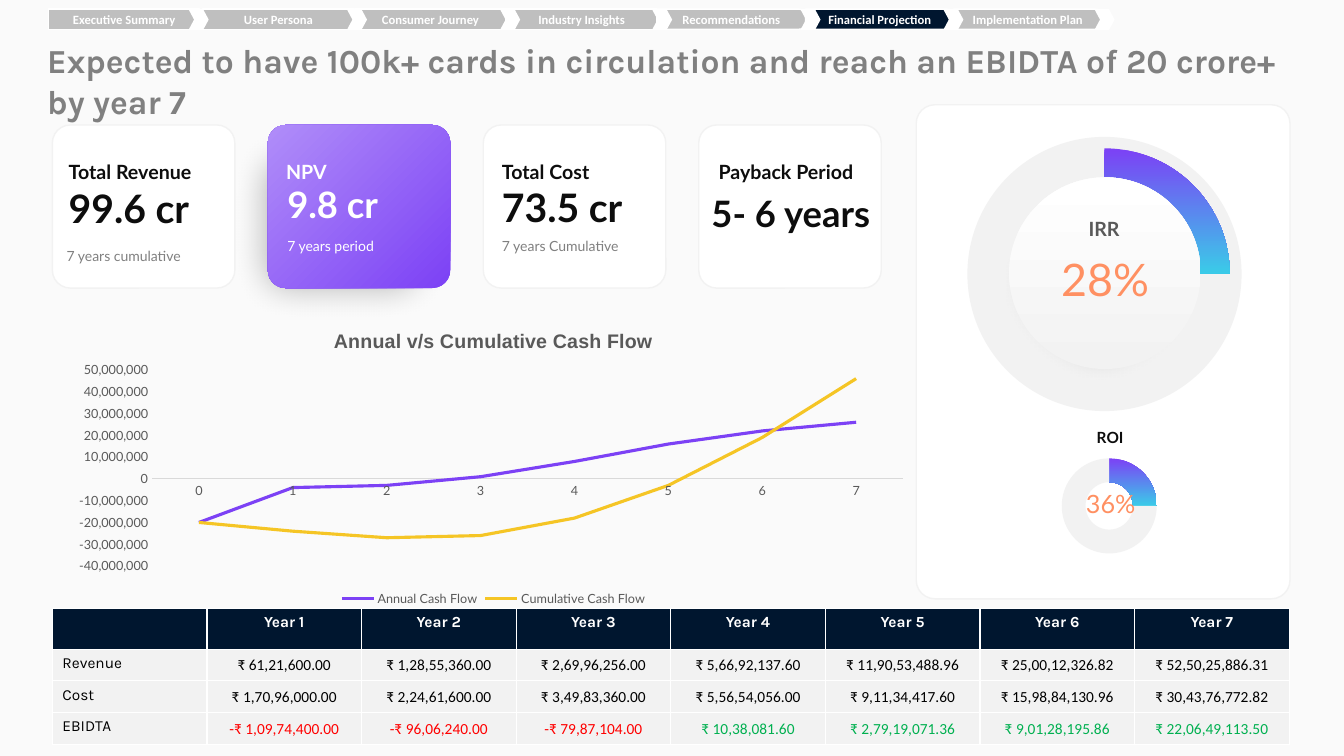
from lxml.etree import SubElement
from pptx import Presentation
from pptx.chart.data import CategoryChartData
from pptx.dml.color import RGBColor
from pptx.enum.chart import XL_CHART_TYPE, XL_LEGEND_POSITION, XL_TICK_MARK
from pptx.enum.shapes import MSO_SHAPE
from pptx.enum.text import MSO_ANCHOR, PP_ALIGN
from pptx.oxml import parse_xml
from pptx.oxml.ns import nsdecls, qn
from pptx.util import Cm, Pt

NAVY, WHITE, PALE, BLACK, CORAL = "00162F", "FFFFFF", "F2F2F2", "0D0D0D", "FF9062"
PURPLE, CYAN, GREY, DARK_GREY = "7C41F5", "3ACBE8", "808080", "595959"
LEFT, CENTER = PP_ALIGN.LEFT, PP_ALIGN.CENTER
TITLE = "Expected to have 100k+ cards in circulation and reach an EBIDTA of 20 crore+ by year 7"
TABS = [("Executive Summary", 2.87, 0), ("User Persona", 6.76, 0), ("Consumer Journey", 10.59, 0),
        ("Industry Insights", 14.4, 0), ("Recommendations", 18.21, 0.5),
        ("Implementation Plan", 25.68, 0.5), ("Financial Projection", 21.95, 0.5)]
CHEVRONS = [4.75, 8.74, 12.6, 16.43, 20.17, 23.77, 27.58]
LABELS = [
    ("Total Revenue", 1.73, 4.09, 3.68, 0.53, 14, BLACK, True, LEFT),
    ("99.6 cr", 1.73, 5.05, 3.68, 0.53, 28, BLACK, True, LEFT),
    ("7 years cumulative", 1.68, 6.27, 3.68, 0.4, 10, GREY, False, LEFT),
    ("NPV", 7.21, 4.09, 3.68, 0.53, 14, WHITE, True, LEFT),
    ("9.8 cr", 7.24, 4.95, 3.68, 0.53, 26, WHITE, True, LEFT),
    ("7 years period", 7.24, 6.02, 3.68, 0.4, 10, WHITE, False, LEFT),
    ("Total Cost", 12.65, 4.09, 3.68, 0.53, 14, BLACK, True, LEFT),
    ("73.5 cr", 12.65, 5.03, 3.68, 0.53, 28, BLACK, True, LEFT),
    ("7 years Cumulative", 12.65, 6.02, 3.68, 0.4, 10, GREY, False, LEFT),
    ("Payback Period", 18.11, 4.11, 4.42, 0.53, 14, BLACK, True, LEFT),
    ("5- 6 years", 17.93, 5.16, 4.42, 0.53, 26, BLACK, True, LEFT),
    ("28%", 26.01, 6.5, 3.68, 1.19, 32, CORAL, False, CENTER),
    ("IRR", 26.54, 5.36, 2.57, 0.89, 14, DARK_GREY, True, CENTER),
    ("ROI", 27.64, 10.85, 3.68, 0.42, 11, BLACK, True, LEFT),
    ("36%", 27.28, 12.29, 1.42, 0.89, 18, CORAL, False, CENTER)]
TABLE_ROWS = [
    ["", *(f"Year {year}" for year in range(1, 8))],
    ["Revenue", "₹ 61,21,600.00", "₹ 1,28,55,360.00", "₹ 2,69,96,256.00", "₹ 5,66,92,137.60",
     "₹ 11,90,53,488.96", "₹ 25,00,12,326.82", "₹ 52,50,25,886.31"],
    ["Cost", "₹ 1,70,96,000.00", "₹ 2,24,61,600.00", "₹ 3,49,83,360.00", "₹ 5,56,54,056.00",
     "₹ 9,11,34,417.60", "₹ 15,98,84,130.96", "₹ 30,43,76,772.82"],
    ["EBIDTA", "-₹ 1,09,74,400.00", "-₹ 96,06,240.00", "-₹ 79,87,104.00", "₹ 10,38,081.60",
     "₹ 2,79,19,071.36", "₹ 9,01,28,195.86", "₹ 22,06,49,113.50"]]
MILLION = 1_000_000
CASH_FLOWS = [("Annual Cash Flow", PURPLE, [-20, -4, -3, 1, 8, 16, 22, 26]),
              ("Cumulative Cash Flow", "F5C525", [-20, -24, -27, -26, -18, -3, 19, 46])]


def color(value):
    return RGBColor.from_string(value)


class SlideBuilder:
    """Hold the style and draw each kind of element on the current slide."""

    def __init__(self, slide):
        self.slide = slide

    def paint(self, fill, value):
        if value is None:
            fill.background()
        elif isinstance(value, tuple):
            fill.gradient()
            fill.gradient_angle = 360 - value[2]
            for stop, stop_color in zip(fill.gradient_stops, value):
                stop.color.rgb = color(stop_color)
        else:
            fill.solid()
            fill.fore_color.rgb = color(value)

    def style_font(self, font, size, value, name="Lato", bold=False):
        font.size, font.name, font.bold = Pt(size), name, bold
        font.color.rgb = color(value)

    def add_run(self, frame, text, size, value, name="Lato", bold=False, align=LEFT):
        paragraph = frame.paragraphs[0]
        paragraph.alignment = align
        run = paragraph.add_run()
        run.text = text
        self.style_font(run.font, size, value, name, bold)

    def center_frame(self, frame):
        frame.word_wrap, frame.vertical_anchor = True, MSO_ANCHOR.MIDDLE
        frame.margin_left = frame.margin_right = frame.margin_top = frame.margin_bottom = 0

    def shape(self, kind, left, top, width, height, fill, line=None, adjustments=()):
        shape = self.slide.shapes.add_shape(kind, Cm(left), Cm(top), Cm(width), Cm(height))
        shape.shadow.inherit = False
        self.paint(shape.fill, fill)
        self.paint(shape.line.fill, line)
        if line:
            shape.line.width = Pt(1)
        for index, value in enumerate(adjustments):
            shape.adjustments[index] = value
        return shape

    def soft_shadow(self, *geometry, adjustments=()):
        properties = self.shape(*geometry, "000000", adjustments=adjustments)._element.spPr
        SubElement(properties.find(".//" + qn("a:srgbClr")), qn("a:alpha"), val="29000")
        SubElement(properties.find(qn("a:effectLst")), qn("a:softEdge"), rad="317500")

    def label(self, text, left, top, width, height, size, value, bold, align):
        frame = self.slide.shapes.add_textbox(Cm(left), Cm(top), Cm(width), Cm(height)).text_frame
        self.center_frame(frame)
        self.add_run(frame, text, size, value, bold=bold, align=align)
        frame.paragraphs[0].line_spacing = 0.9

    def title(self, text):
        frame = self.slide.shapes.add_textbox(Cm(0.94), Cm(0.89), Cm(32.31), Cm(2.31)).text_frame
        frame.word_wrap = True
        self.add_run(frame, text, 24, GREY, "Karla", True)

    def tab(self, text, left, rounding):
        fill = NAVY if text.startswith("Financial") else "BFBFBF"
        kind = MSO_SHAPE.ROUND_2_SAME_RECTANGLE
        shape = self.shape(kind, left, -1.42, 0.51, 3.81, fill, WHITE, (rounding, 0))
        shape.rotation = 90
        self.center_frame(shape.text_frame)
        shape.text_frame._txBody.bodyPr.set("vert", "vert270")
        self.add_run(shape.text_frame, text, 9, WHITE, "Calibri", True, CENTER)

    def chart(self, kind, left, top, width, height, data, layout):
        chart = self.slide.shapes.add_chart(kind, Cm(left), Cm(top), Cm(width), Cm(height), data).chart
        self.style_font(chart.font, 10, "000000")
        chart.has_legend = chart.has_title = False
        plot_area = chart._chartSpace.chart.plotArea
        for old_layout in plot_area.findall(qn("c:layout")):
            plot_area.remove(old_layout)
        values = "".join(f'<c:{key} val="{value}"/>' for key, value in zip("xywh", layout))
        plot_area.insert(0, parse_xml(
            f'<c:layout {nsdecls("c")}><c:manualLayout><c:layoutTarget val="inner"/>'
            f'<c:xMode val="edge"/><c:yMode val="edge"/>{values}</c:manualLayout></c:layout>'))
        return chart

    def doughnut(self, left, top, width, height, layout, rest):
        data = CategoryChartData()
        data.categories = ["1", "2"]
        data.add_series("Series 1", [25, 75])
        chart = self.chart(XL_CHART_TYPE.DOUGHNUT, left, top, width, height, data, layout)
        for index, fill in enumerate([(PURPLE, CYAN, 90), rest]):
            point = chart.plots[0].series[0].points[index]
            self.paint(point.format.fill, fill)
            point.format.line.fill.background()
        chart._chartSpace.find(".//" + qn("c:holeSize")).set("val", "87")

    def cash_flow_chart(self):
        data = CategoryChartData(number_format="#,##0")
        data.categories = [str(year) for year in range(8)]
        for name, _, values in CASH_FLOWS:
            data.add_series(name, [value * MILLION for value in values])
        chart = self.chart(XL_CHART_TYPE.LINE, 1.68, 7.9, 21.51, 7.49, data, (0.1, 0.19, 0.88, 0.66))
        chart.plots[0].vary_by_categories = False
        for series, (_, value, _) in zip(chart.plots[0].series, CASH_FLOWS):
            series.smooth = False
            series.format.line.color.rgb, series.format.line.width = color(value), Pt(2.25)
        years, money = chart.category_axis, chart.value_axis
        for axis in (years, money):
            axis.major_tick_mark, axis.has_major_gridlines = XL_TICK_MARK.NONE, False
            self.style_font(axis.tick_labels.font, 9, DARK_GREY)
        years.format.line.color.rgb, years.format.line.width = color("D9D9D9"), Pt(0.75)
        money.format.line.fill.background()
        money.minimum_scale, money.maximum_scale, money.major_unit = -40 * MILLION, 50 * MILLION, 10 * MILLION
        chart.has_title = chart.has_legend = True
        frame = chart.chart_title.text_frame
        self.add_run(frame, "Annual v/s Cumulative Cash Flow", 14, DARK_GREY, "Arial", True)
        chart.legend.position, chart.legend.include_in_layout = XL_LEGEND_POSITION.BOTTOM, False
        self.style_font(chart.legend.font, 9, DARK_GREY)

    def table(self, rows):
        size = len(rows), len(rows[0])
        table = self.slide.shapes.add_table(*size, Cm(1.32), Cm(15.34), Cm(31.17), Cm(3.2)).table
        for row, texts in enumerate(rows):
            for column, text in enumerate(texts):
                cell = table.cell(row, column)
                self.paint(cell.fill, PALE if row else NAVY)
                value, name = "000000" if row else WHITE, "Karla"
                if row and column:
                    name, cell.vertical_anchor = "Calibri", MSO_ANCHOR.MIDDLE
                    cell.margin_left = cell.margin_right = cell.margin_top = Cm(0.03)
                    cell.margin_bottom = 0
                    if texts[0] == "EBIDTA":
                        value = "FF0000" if text.startswith("-") else "00B050"
                self.add_run(cell.text_frame, text, 11, value, name, row == 0, CENTER if column else LEFT)


def main():
    presentation = Presentation()
    presentation.slide_width, presentation.slide_height = Cm(33.87), Cm(19.05)
    builder = SlideBuilder(presentation.slides.add_slide(presentation.slide_layouts[6]))
    builder.paint(builder.slide.background.fill, "FAFAFA")
    card, circle = MSO_SHAPE.ROUNDED_RECTANGLE, MSO_SHAPE.OVAL
    builder.shape(card, 23.09, 2.64, 9.42, 12.45, WHITE, PALE, [0.05])
    builder.shape(circle, 24.38, 3.45, 6.91, 6.91, PALE)
    builder.soft_shadow(card, 5.82, 3.15, 5.56, 4.98, adjustments=[0.11])
    for index in range(4):
        fill, line = ((PURPLE, "B08DF9", 225), None) if index == 1 else (WHITE, PALE)
        builder.shape(card, 1.32 + 5.43 * index, 3.15, 4.6, 4.11, fill, line, [0.11])
    builder.doughnut(22.56, 3.38, 10.54, 7.04, (0.2, 0.05, 0.6, 0.9), None)
    builder.soft_shadow(circle, 24.97, 4.37, 5.56, 5.56)
    builder.shape(circle, 25.43, 4.47, 4.83, 4.83, (PALE, WHITE, 270))
    builder.doughnut(26.14, 11.2, 3.63, 3.1, (0.17, 0.11, 0.66, 0.78), PALE)
    for label in LABELS:
        builder.label(*label)
    builder.table(TABLE_ROWS)
    builder.cash_flow_chart()
    builder.title(TITLE)
    for tab in TABS:
        builder.tab(*tab)
    for left in CHEVRONS:
        builder.shape(MSO_SHAPE.CHEVRON, left, 0.23, 0.51, 0.53, WHITE, adjustments=[0.28])
    presentation.save("out.pptx")


if __name__ == "__main__":
    main()
